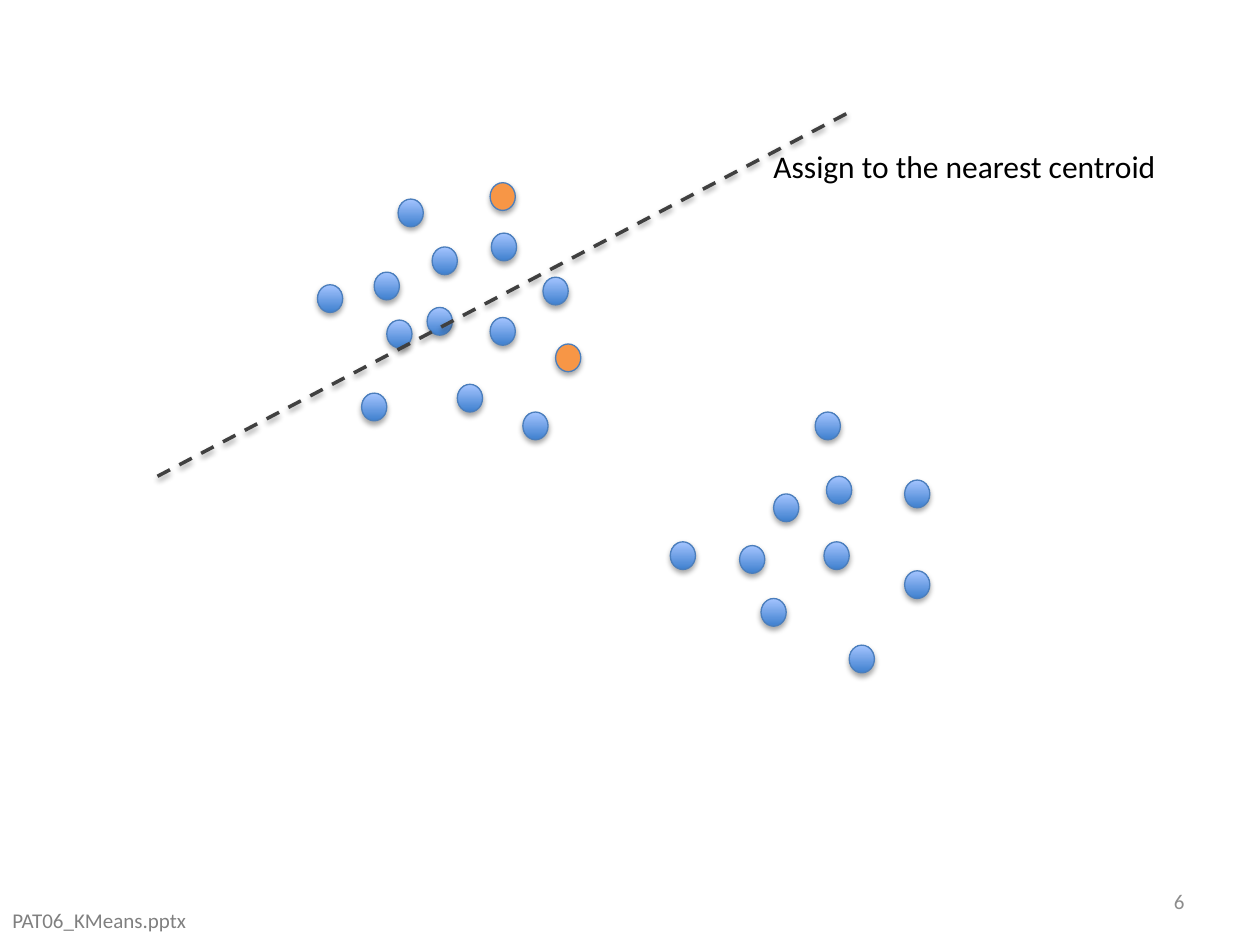
from lxml.etree import SubElement
from pptx import Presentation
from pptx.dml.color import RGBColor
from pptx.enum.dml import MSO_LINE
from pptx.enum.shapes import MSO_CONNECTOR, MSO_SHAPE
from pptx.enum.text import MSO_ANCHOR, MSO_AUTO_SIZE, PP_ALIGN
from pptx.oxml.ns import qn
from pptx.util import Inches, Pt

BLACK = RGBColor(0x00, 0x00, 0x00)
DARK = RGBColor(0x40, 0x40, 0x40)
GRAY = RGBColor(0x80, 0x80, 0x80)
PALE = RGBColor(0x8C, 0x8C, 0x8C)
ORANGE = RGBColor(0xF7, 0x96, 0x46)
BLUE = RGBColor(0x3F, 0x80, 0xCE)
LIGHT = RGBColor(0xA4, 0xC4, 0xFF)
EDGE = RGBColor(0x4B, 0x7E, 0xBC)

# Top left corners of the dots, relative to their cluster
UPPER = [(0.87, 0.99), (1.38, 0.4), (1.79, 0.75), (1.11, 1.6), (0.91, 0.51),
         (0.35, 1.67), (1.63, 1.82), (0, 0.81), (0.64, 0.13), (0.55, 1.09),
         (0.45, 0.71), (1.37, 1.07)]
LOWER = [(1.24, 0.51), (1.86, 1.26), (0.82, 0.65), (1.15, 0), (1.22, 1.03),
         (0.55, 1.06), (1.42, 1.85), (1.86, 0.54), (0, 1.03), (0.72, 1.48)]
CENTROIDS = [(1.89, 1.28), (1.37, 0)]


def add_shadow(shape, alpha, dist):
    """Put a soft shadow straight below the shape."""
    effects = SubElement(shape._element.spPr, qn("a:effectLst"))
    outer = SubElement(effects, qn("a:outerShdw"), blurRad=str(Pt(3.1)),
                       dist=str(Pt(dist)), dir="5400000", rotWithShape="0")
    color = SubElement(outer, qn("a:srgbClr"), val=str(BLACK))
    SubElement(color, qn("a:alpha"), val=str(alpha * 1000))


def add_dots(slide, left, top, spots, solid=None):
    """Draw a cluster of dots, blue unless a solid colour is given."""
    for x, y in spots:
        dot = slide.shapes.add_shape(MSO_SHAPE.OVAL, Inches(left + x), Inches(top + y),
                                     Inches(0.2), Inches(0.22))
        if solid:
            dot.fill.solid()
            dot.fill.fore_color.rgb = solid
        else:
            dot.fill.gradient()
            dot.fill.gradient_angle = 90
            for stop, color in zip(dot.fill.gradient_stops, (BLUE, LIGHT)):
                stop.color.rgb = color
        dot.line.color.rgb = EDGE
        dot.line.width = Pt(0.75)
        add_shadow(dot, 35, 1.8)


def add_border(slide, x1, y1, x2, y2):
    """Draw the dashed line between the two centroids."""
    border = slide.shapes.add_connector(MSO_CONNECTOR.STRAIGHT, Inches(x1), Inches(y1),
                                        Inches(x2), Inches(y2))
    border.line.color.rgb = DARK
    border.line.width = Pt(2)
    border.line.dash_style = MSO_LINE.DASH
    add_shadow(border, 38, 1.6)


def add_label(slide, left, top, width, height, text, size, color, grow=True):
    """Write one line of text; return the frame."""
    box = slide.shapes.add_textbox(Inches(left), Inches(top), Inches(width), Inches(height))
    frame = box.text_frame
    frame.word_wrap = not grow
    if grow:
        frame.auto_size = MSO_AUTO_SIZE.SHAPE_TO_FIT_TEXT
    frame.text = text
    font = frame.paragraphs[0].runs[0].font
    font.name = "Calibri"
    font.size = Pt(size)
    font.color.rgb = color
    return frame


def add_footer(slide, left, top, width):
    """Write the file name and the page number along the bottom."""
    page = add_label(slide, left + width - 2.33, top, 2.33, 0.4, "6", 12, PALE, grow=False)
    page.vertical_anchor = MSO_ANCHOR.MIDDLE
    page.paragraphs[0].alignment = PP_ALIGN.RIGHT
    add_label(slide, left, top + 0.2, 1.6, 0.3, "PAT06_KMeans.pptx", 12, GRAY)


def main():
    deck = Presentation()
    deck.slide_width, deck.slide_height = Inches(10), Inches(7.5)
    slide = deck.slides.add_slide(deck.slide_layouts[6])

    # Points and centroids
    add_dots(slide, 2.52, 1.45, UPPER)
    add_dots(slide, 5.32, 3.27, LOWER)
    add_dots(slide, 2.52, 1.45, CENTROIDS, ORANGE)

    # Caption, border and footer
    add_label(slide, 6.04, 1.12, 3.27, 0.4, "Assign to the nearest centroid", 18, BLACK)
    add_border(slide, 1.25, 3.78, 6.76, 0.88)
    add_footer(slide, 0, 6.95, 9.5)

    deck.save("out.pptx")


if __name__ == "__main__":
    main()
